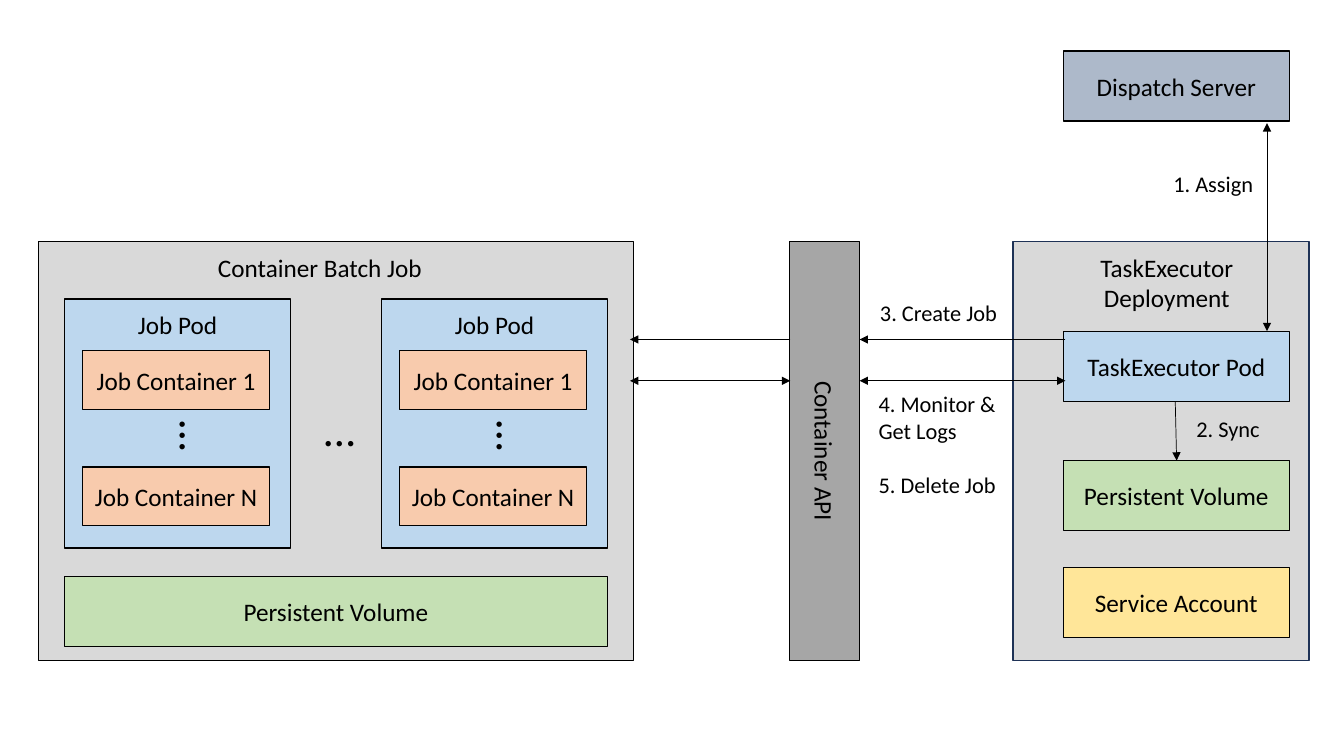
from lxml import etree
from pptx import Presentation
from pptx.dml.color import RGBColor
from pptx.enum import shapes, text
from pptx.oxml import ns
from pptx.util import Pt

BLACK = RGBColor(0x00, 0x00, 0x00)
NAVY = RGBColor(0x1E, 0x32, 0x56)
LIGHT_GREY = RGBColor(0xD9, 0xD9, 0xD9)
GREY = RGBColor(0xA6, 0xA6, 0xA6)
BLUE = RGBColor(0xBD, 0xD7, 0xEE)
SLATE = RGBColor(0xAD, 0xB9, 0xCA)
GREEN = RGBColor(0xC5, 0xE0, 0xB4)
YELLOW = RGBColor(0xFF, 0xE6, 0x99)
ORANGE = RGBColor(0xF8, 0xCB, 0xAD)

CENTER = text.PP_ALIGN.CENTER
LEFT = text.PP_ALIGN.LEFT
BOX_WIDTH, BOX_HEIGHT = 161.5, 50
FRAME_TOP, FRAME_HEIGHT = 172.5, 299.5
POD_TOP, POD_HEIGHT = 213.5, 178

presentation = Presentation()
presentation.slide_width, presentation.slide_height = Pt(960), Pt(540)
slide = presentation.slides.add_slide(presentation.slide_layouts[6])


def write(shape, lines, size=18, align=CENTER, anchor=text.MSO_ANCHOR.MIDDLE):
    """Fill a shape with one paragraph per line."""
    frame = shape.text_frame
    frame.word_wrap, frame.vertical_anchor = True, anchor
    frame.text = lines
    for paragraph in frame.paragraphs:
        paragraph.alignment = align
        for name, value in {"name": "Calibri", "size": Pt(size)}.items():
            setattr(paragraph.font, name, value)
        paragraph.font.color.rgb = BLACK
    return frame


def add_box(left, top, width, height, fill, label="", line=BLACK):
    """Add an outlined rectangle with an optional centred label."""
    box = slide.shapes.add_shape(
        shapes.MSO_SHAPE.RECTANGLE, Pt(left), Pt(top), Pt(width), Pt(height))
    box.shadow.inherit = False
    box.fill.solid()
    box.fill.fore_color.rgb = fill
    box.line.color.rgb = line
    box.line.width = Pt(1)
    if label:
        write(box, label)
    return box


# Frames and the API bar between them
add_box(27.5, FRAME_TOP, 425, FRAME_HEIGHT, LIGHT_GREY)
add_box(723.5, FRAME_TOP, 211.5, FRAME_HEIGHT, LIGHT_GREY, line=NAVY)
api_bar = add_box(439.25, 297.25, FRAME_HEIGHT, BOX_HEIGHT, GREY, "Container API")
api_bar.rotation = 90

# Server and deployment column
for top, fill, label in [
    (36.5, SLATE, "Dispatch Server"),
    (237, BLUE, "TaskExecutor Pod"),
    (329, GREEN, "Persistent Volume"),
    (405.5, YELLOW, "Service Account"),
]:
    add_box(759.5, top, BOX_WIDTH, BOX_HEIGHT, fill, label)

# Job pods with their containers
labels = []
ellipses = [(224, 283.5, 0)]
for pod_left in (46, 272.5):
    add_box(pod_left, POD_TOP, BOX_WIDTH, POD_HEIGHT, BLUE)
    for top, label in [(250.5, "Job Container 1"), (333.5, "Job Container N")]:
        add_box(pod_left + 13, top, 133.5, 42, ORANGE, label)
    labels.append((pod_left, 217.5, BOX_WIDTH, 29, "Job Pod", 18, CENTER))
    ellipses.append((pod_left + 76.5, 288.5, 90))
add_box(46, 412, 388, BOX_HEIGHT, GREEN, "Persistent Volume")

# Headings and step labels
labels += [
    (46, 176.5, 365, 29, "Container Batch Job", 18, CENTER),
    (770, 176.5, 127, 51, "TaskExecutor\vDeployment", 18, CENTER),
    (831, 118, 80, 27, "1. Assign", 16, LEFT),
    (847.5, 293, 68, 27, "2. Sync", 16, LEFT),
    (621.5, 210, 122, 27, "3. Create Job", 16, LEFT),
    (620.5, 275, 108, 85, "4. Monitor &\vGet Logs\n5. Delete Job", 16, LEFT),
]
for left, top, width, height, label, size, align in labels:
    textbox = slide.shapes.add_textbox(Pt(left), Pt(top), Pt(width), Pt(height))
    frame = write(textbox, label, size, align, text.MSO_ANCHOR.TOP)
    for paragraph in frame.paragraphs[1:]:
        paragraph.space_before = Pt(19.5)

for left, top, rotation in ellipses:
    ellipsis = slide.shapes.add_textbox(Pt(left), Pt(top), Pt(37), Pt(46))
    write(ellipsis, "…", 32, CENTER, text.MSO_ANCHOR.TOP)
    ellipsis.rotation = rotation

# Arrows: start, end, whether both ends carry a head
for x1, y1, x2, y2, two_way in [
    (761, 242.5, 614, 242.5, False),
    (564.5, 242.5, 450, 242.5, False),
    (614, 272, 761, 272, True),
    (450, 272, 564.5, 272, True),
    (905, 88, 905, 236.5, True),
    (839.5, 287, 840.5, 329, False),
]:
    arrow = slide.shapes.add_connector(
        shapes.MSO_CONNECTOR.STRAIGHT, Pt(x1), Pt(y1), Pt(x2), Pt(y2))
    arrow.line.color.rgb = BLACK
    arrow.line.width = Pt(0.5)
    outline = arrow.line._get_or_add_ln()
    for end in ("a:headEnd", "a:tailEnd") if two_way else ("a:tailEnd",):
        etree.SubElement(outline, ns.qn(end), type="triangle")
    etree.SubElement(arrow._element.spPr, ns.qn("a:effectLst"))

presentation.save("out.pptx")
